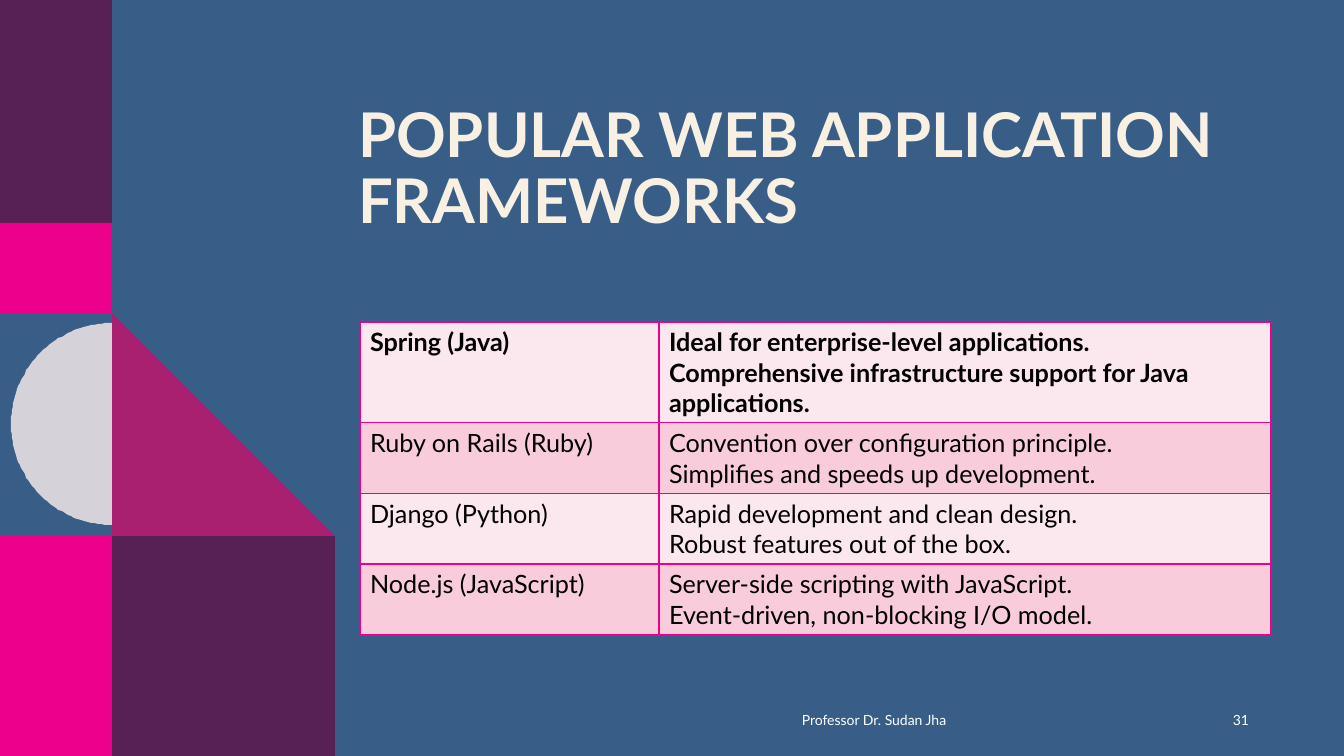
from math import cos, pi, sin

from lxml import etree
from pptx import Presentation
from pptx.dml.color import RGBColor
from pptx.enum.shapes import MSO_SHAPE as SHAPE
from pptx.enum.text import MSO_ANCHOR as ANCHOR, PP_ALIGN as ALIGN
from pptx.oxml.ns import qn
from pptx.util import Pt

PX = 914400 / 100.8
FONT = "Lato"
COLORS = {
    "blue": "385E88", "purple": "582156", "pink": "EC008C", "gray": "D5D2DA",
    "magenta": "AA2070", "cream": "F8F0E3", "black": "000000", "white": "FFFFFF",
    "light row": "FBE7EE", "dark row": "F8CCDA",
}


def paint(sp, color):
    sp.fill.solid()
    sp.fill.fore_color.rgb = RGBColor.from_string(COLORS[color])
    sp.line.fill.background()
    sp.shadow.inherit = False


def add_run(p, text, size, color, bold=False):
    r = p.add_run()
    r.text = text
    r.font.name = FONT
    r.font.size = Pt(size)
    r.font.bold = bold
    r.font.color.rgb = RGBColor.from_string(COLORS[color])


prs = Presentation()
prs.slide_width, prs.slide_height = round(1344 * PX), round(756 * PX)
s = prs.slides.add_slide(prs.slide_layouts[5])
s.background.fill.solid()
s.background.fill.fore_color.rgb = RGBColor.from_string(COLORS["blue"])

# Geometric side panel
panel = [
    (SHAPE.RECTANGLE, 112, 536, 223, 220, "purple"),
    (SHAPE.RECTANGLE, 0, 536, 112, 220, "pink"),
    (SHAPE.RECTANGLE, 0, 0, 112, 223, "purple"),
    (SHAPE.RECTANGLE, 0, 223, 112, 90, "pink"),
    (SHAPE.RIGHT_TRIANGLE, 112, 313, 223, 223, "magenta"),
]
for kind, x, y, w, h, color in panel:
    sp = s.shapes.add_shape(kind, *(round(v * PX) for v in (x, y, w, h)))
    paint(sp, color)

center_x, center_y, radius, steps = 112, 424, 101, 90
arc = [(center_x - radius * sin(pi * i / steps), center_y - radius * cos(pi * i / steps))
       for i in range(steps + 1)]
half_circle = s.shapes.build_freeform(*arc[0], scale=PX)
half_circle.add_line_segments(arc[1:], close=True)
paint(half_circle.convert_to_shape(), "gray")

# Title
title = s.shapes.title
title.left, title.top, title.width, title.height = (round(v * PX) for v in (348, 99, 911, 223))
tf = title.text_frame
tf.word_wrap = True
tf.vertical_anchor = ANCHOR.TOP
p = tf.paragraphs[0]
p.alignment = ALIGN.LEFT
p.line_spacing = 0.9
add_run(p, "POPULAR WEB APPLICATION FRAMEWORKS", 44, "cream", True)

# Framework table
frameworks = [
    ("Spring (Java)", ["Ideal for enterprise-level applications.",
                       "Comprehensive infrastructure support for Java applications."]),
    ("Ruby on Rails (Ruby)", ["Convention over configuration principle.",
                              "Simplifies and speeds up development."]),
    ("Django (Python)", ["Rapid development and clean design.",
                         "Robust features out of the box."]),
    ("Node.js (JavaScript)", ["Server-side scripting with JavaScript.",
                              "Event-driven, non-blocking I/O model."]),
]
frame = s.shapes.add_table(len(frameworks), 2, *(round(v * PX) for v in (360, 322, 911, 313)))
table = frame.table
for column, width in zip(table.columns, (299, 612)):
    column.width = round(width * PX)
for row, height in zip(table.rows, (100, 70, 70, 70)):
    row.height = round(height * PX)

for i, (name, benefits) in enumerate(frameworks):
    for j, lines in enumerate(([name], benefits)):
        cell = table.cell(i, j)
        tf = cell.text_frame
        for k, line in enumerate(lines):
            p = tf.add_paragraph() if k else tf.paragraphs[0]
            add_run(p, line, 18, "black", bold=i == 0)
        tcPr = cell._tc.get_or_add_tcPr()
        for side in ("a:lnL", "a:lnR", "a:lnT", "a:lnB"):
            border = etree.SubElement(tcPr, qn(side), w=str(Pt(1)))
            fill = etree.SubElement(border, qn("a:solidFill"))
            etree.SubElement(fill, qn("a:srgbClr"), val=COLORS["pink"])
        cell.fill.solid()
        row_color = "dark row" if i % 2 else "light row"
        cell.fill.fore_color.rgb = RGBColor.from_string(COLORS[row_color])

# Footer and slide number
footers = [
    ("Professor Dr. Sudan Jha", 748, 252, ALIGN.CENTER),
    ("31", 1209, 50, ALIGN.RIGHT),
]
for text, x, w, align in footers:
    box = s.shapes.add_textbox(*(round(v * PX) for v in (x, 700, w, 40)))
    tf = box.text_frame
    tf.word_wrap = True
    tf.vertical_anchor = ANCHOR.MIDDLE
    p = tf.paragraphs[0]
    p.alignment = align
    add_run(p, text, 10, "white")

prs.save("out.pptx")
